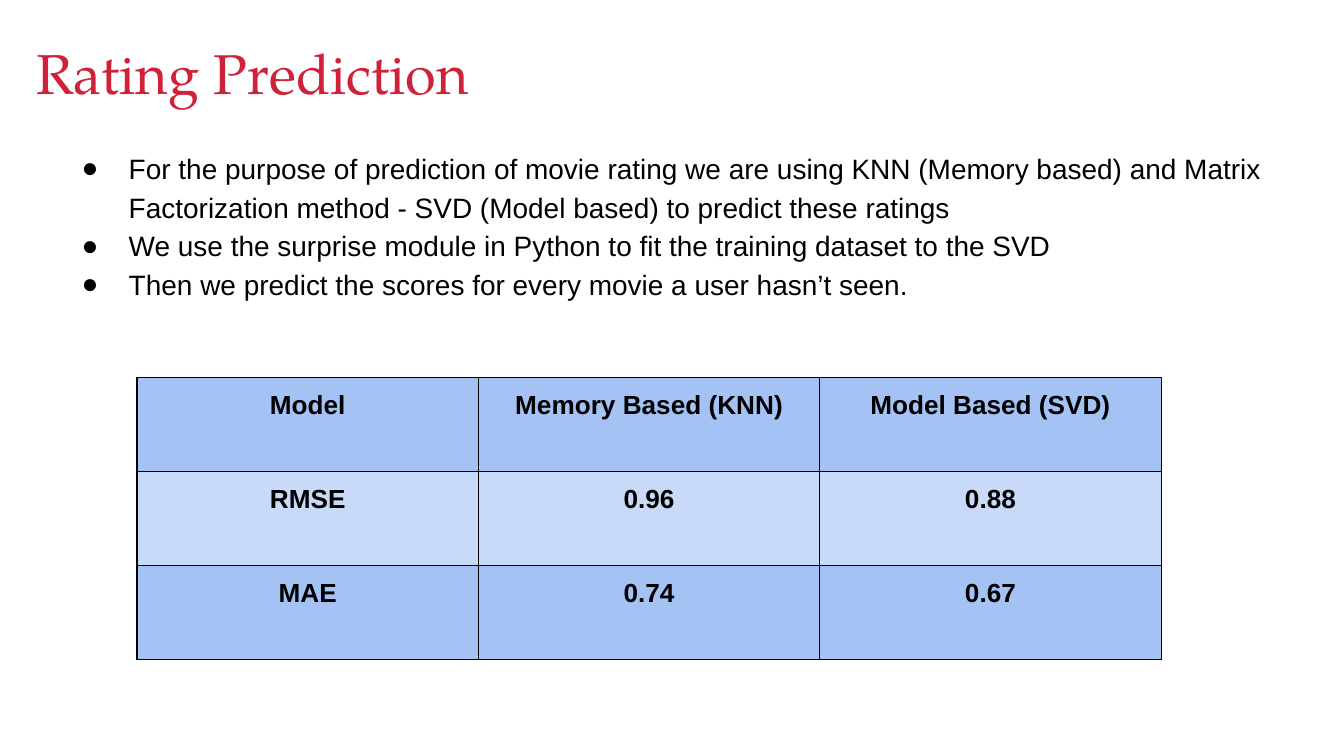
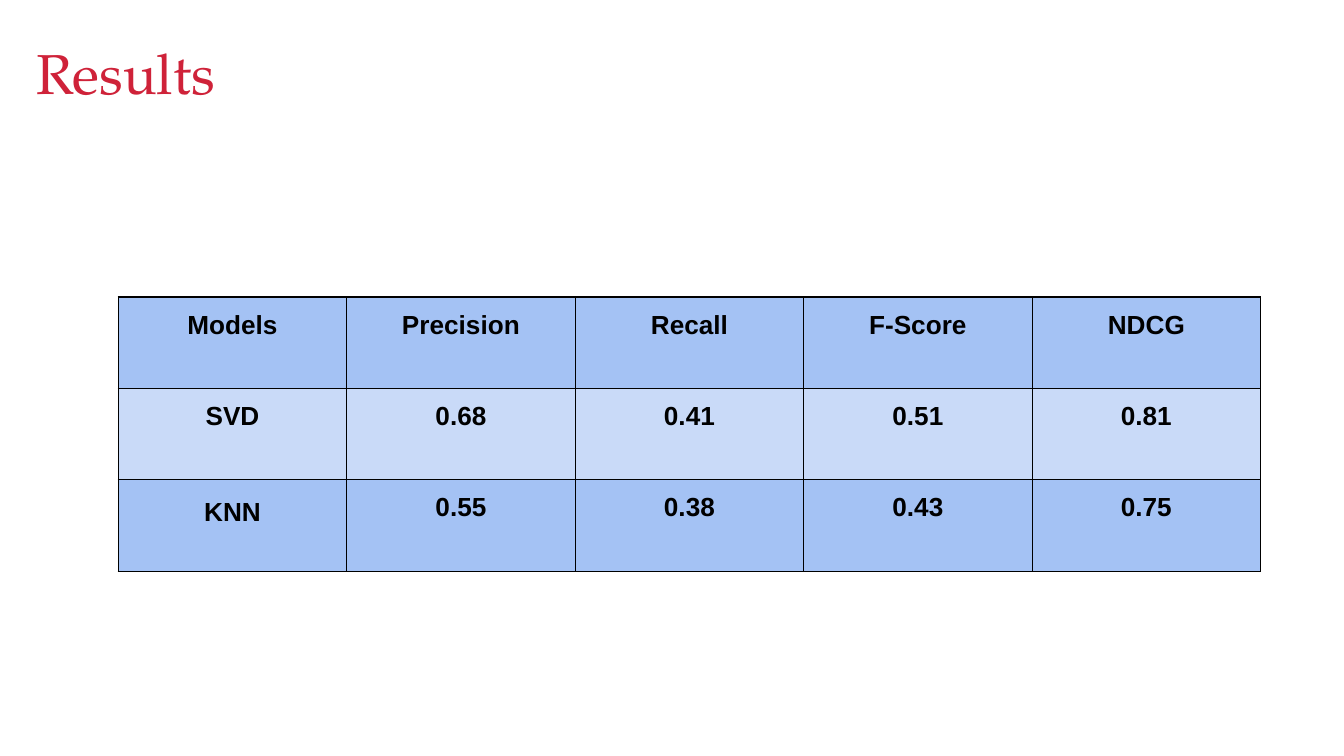
from lxml import etree
from pptx import Presentation
from pptx.dml.color import RGBColor
from pptx.enum.text import MSO_ANCHOR, MSO_AUTO_SIZE, PP_ALIGN
from pptx.oxml.ns import qn
from pptx.util import Inches, Pt

COLORS = {
    "title": "CF2239",
    "text": "000000",
    "border": "000000",
    "dark_row": "A4C2F4",
    "light_row": "C9DAF8",
}
TITLE_FONT = "TeX Gyre Pagella"
BODY_FONT = "Arial"
LINE_SPACING = 1.15
SLIDE_WIDTH = 10
SLIDE_HEIGHT = SLIDE_WIDTH * 9 / 16


def rgb(name):
    return RGBColor.from_string(COLORS[name])


def add_color(parent, name):
    etree.SubElement(parent, qn("a:srgbClr"), val=COLORS[name])


class Deck:
    """Holds the shared style and the slide being built."""

    def __init__(self):
        self.presentation = Presentation()
        self.presentation.slide_width = Inches(SLIDE_WIDTH)
        self.presentation.slide_height = Inches(SLIDE_HEIGHT)
        self.slide = None

    def add_slide(self, title):
        layout = self.presentation.slide_layouts.get_by_name("Title Only")
        self.slide = self.presentation.slides.add_slide(layout)
        shape = self.slide.shapes.title
        shape.left, shape.top = Inches(0.27), Inches(0.29)
        shape.width, shape.height = Inches(9.12), Inches(0.5)
        frame = self.prepare_frame(shape, 0)
        paragraph = frame.paragraphs[0]
        paragraph.alignment = PP_ALIGN.LEFT
        self.add_run(paragraph, title, 30, "title", TITLE_FONT)

    def prepare_frame(self, shape, inset):
        frame = shape.text_frame
        frame.word_wrap = True
        frame.auto_size = MSO_AUTO_SIZE.NONE
        frame.vertical_anchor = MSO_ANCHOR.TOP
        frame.margin_left = frame.margin_right = Inches(inset)
        frame.margin_top = frame.margin_bottom = Inches(inset)
        return frame

    def add_run(self, paragraph, text, size, color="text", font=BODY_FONT, bold=False):
        run = paragraph.add_run()
        run.text = text
        run.font.size = Pt(size)
        run.font.name = font
        run.font.bold = bold
        run.font.color.rgb = rgb(color)

    def add_bullets(self, left, top, width, height, items):
        box = self.slide.shapes.add_textbox(
            Inches(left), Inches(top), Inches(width), Inches(height))
        frame = self.prepare_frame(box, 0.1)
        for index, item in enumerate(items):
            paragraph = frame.add_paragraph() if index else frame.paragraphs[0]
            properties = paragraph._p.get_or_add_pPr()
            properties.set("marL", str(Inches(0.5)))
            properties.set("indent", str(Inches(-0.35)))
            add_color(etree.SubElement(properties, qn("a:buClr")), "text")
            etree.SubElement(properties, qn("a:buFont"), typeface=BODY_FONT)
            etree.SubElement(properties, qn("a:buChar"), char="●")
            paragraph.line_spacing = LINE_SPACING
            self.add_run(paragraph, item, 15)

    def add_table(self, left, top, column_width, row_height, rows):
        """Draw a bordered table with alternating row fills and return it."""
        row_count, column_count = len(rows), len(rows[0])
        table = self.slide.shapes.add_table(
            row_count, column_count, Inches(left), Inches(top),
            Inches(column_width * column_count), Inches(row_height * row_count)).table
        for column in table.columns:
            column.width = Inches(column_width)
        for row_index, values in enumerate(rows):
            table.rows[row_index].height = Inches(row_height)
            fill = "light_row" if row_index % 2 else "dark_row"
            for column_index, value in enumerate(values):
                self.format_cell(table.cell(row_index, column_index), value, fill)
        return table

    def format_cell(self, cell, value, fill):
        cell.fill.solid()
        cell.fill.fore_color.rgb = rgb(fill)
        cell.margin_left = cell.margin_right = Inches(0.1)
        cell.margin_top = cell.margin_bottom = Inches(0.1)
        cell.vertical_anchor = MSO_ANCHOR.TOP
        paragraph = cell.text_frame.paragraphs[0]
        paragraph.alignment = PP_ALIGN.CENTER
        self.add_run(paragraph, value, 14, bold=True)
        properties = cell._tc.get_or_add_tcPr()
        for position, side in enumerate(("lnL", "lnR", "lnT", "lnB")):
            line = etree.Element(qn(f"a:{side}"), w=str(Pt(0.75)))
            add_color(etree.SubElement(line, qn("a:solidFill")), "border")
            properties.insert(position, line)


def main():
    deck = Deck()

    deck.add_slide("Rating Prediction")
    deck.add_table(1.02, 2.81, 2.54, 0.7, [
        ["Model", "Memory Based (KNN)", "Model Based (SVD)"],
        ["RMSE", "0.96", "0.88"],
        ["MAE", "0.74", "0.67"],
    ])
    deck.add_bullets(0.36, 0.99, 9.23, 1.33, [
        "For the purpose of prediction of movie rating we are using KNN (Memory based) "
        "and Matrix Factorization method - SVD (Model based) to predict these ratings",
        "We use the surprise module in Python to fit the training dataset to the SVD",
        "Then we predict the scores for every movie a user hasn’t seen.",
    ])

    deck.add_slide("Results")
    results = deck.add_table(0.88, 2.21, 1.7, 0.68, [
        ["Models", "Precision", "Recall", "F-Score", "NDCG"],
        ["SVD", "0.68", "0.41", "0.51", "0.81"],
        ["KNN", "0.55", "0.38", "0.43", "0.75"],
    ])
    results.cell(2, 0).text_frame.paragraphs[0].line_spacing = LINE_SPACING

    deck.presentation.save("out.pptx")


if __name__ == "__main__":
    main()
